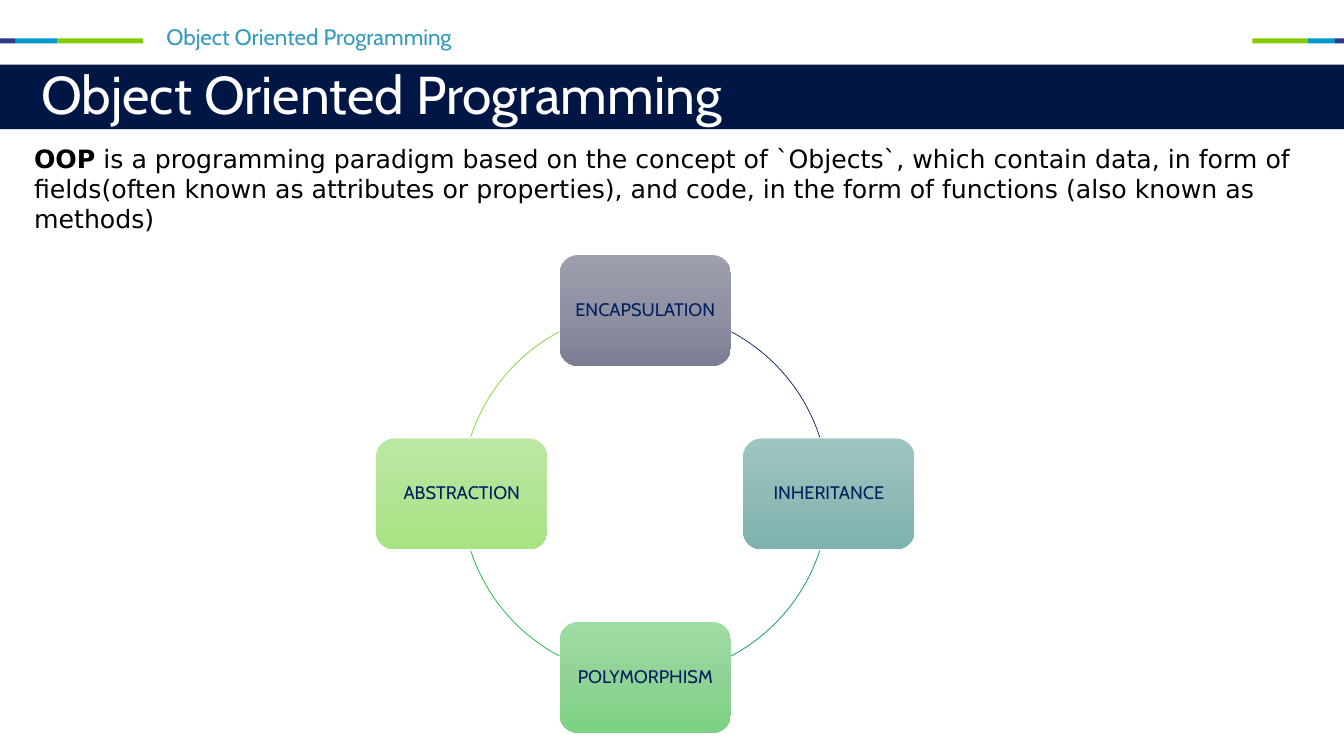
import math
from dataclasses import dataclass

from pptx import Presentation
from pptx.dml.color import RGBColor
from pptx.enum.shapes import MSO_SHAPE
from pptx.enum.text import MSO_ANCHOR, MSO_AUTO_SIZE, PP_ALIGN
from pptx.oxml import parse_xml
from pptx.oxml.ns import nsdecls
from pptx.util import Inches, Pt

RECT, ROUND_RECT, ARC = MSO_SHAPE.RECTANGLE, MSO_SHAPE.ROUNDED_RECTANGLE, MSO_SHAPE.ARC
MIDDLE, LEFT, CENTER = MSO_ANCHOR.MIDDLE, PP_ALIGN.LEFT, PP_ALIGN.CENTER
NO_AUTOFIT = MSO_AUTO_SIZE.NONE

GREEN = RGBColor(0x83, 0xCC, 0x04)
BLUE = RGBColor(0x00, 0x97, 0xCC)
INDIGO = RGBColor(0x30, 0x38, 0x88)
TEAL_TEXT = RGBColor(0x35, 0x9B, 0xBB)
BAND = RGBColor(0x00, 0x17, 0x46)
NAVY = RGBColor(0x00, 0x20, 0x60)
WHITE = RGBColor(0xFF, 0xFF, 0xFF)
BLACK = RGBColor(0x00, 0x00, 0x00)
ARC_TEAL = RGBColor(0x08, 0x8D, 0x86)
ARC_GREEN = RGBColor(0x17, 0xB4, 0x3A)
ARC_LIME = RGBColor(0x80, 0xD4, 0x2C)

HEADING = "Cabin"
BODY = "DejaVu Sans"
CENTER_X, CENTER_Y, RADIUS = 6.4, 4.9, 1.82
CARD_W, CARD_H = 1.7, 1.1


@dataclass
class Bar:
    left: float
    width: float
    color: RGBColor


@dataclass
class Pillar:
    label: str
    angle: int
    stops: tuple[RGBColor, RGBColor, RGBColor]
    arc_start: int
    arc_color: RGBColor


BARS = [
    Bar(12.42, 0.55, GREEN), Bar(12.97, 0.27, BLUE), Bar(13.24, 0.1, INDIGO),
    Bar(0.57, 0.85, GREEN), Bar(0.15, 0.42, BLUE), Bar(0, 0.15, INDIGO),
]
PILLARS = [
    Pillar("ENCAPSULATION", 270, (RGBColor(0x9D, 0x9F, 0xAF), RGBColor(0x90, 0x92, 0xA3),
                                  RGBColor(0x7C, 0x7E, 0x94)), 298, NAVY),
    Pillar("INHERITANCE", 0, (RGBColor(0x9D, 0xC5, 0xC1), RGBColor(0x90, 0xBA, 0xB6),
                              RGBColor(0x7C, 0xB3, 0xAE)), 18, ARC_TEAL),
    Pillar("POLYMORPHISM", 90, (RGBColor(0x9E, 0xDD, 0xA3), RGBColor(0x91, 0xD3, 0x96),
                                RGBColor(0x7C, 0xD1, 0x83)), 118, ARC_GREEN),
    Pillar("ABSTRACTION", 180, (RGBColor(0xBD, 0xE8, 0xA3), RGBColor(0xB2, 0xE4, 0x95),
                                RGBColor(0xA7, 0xE4, 0x81)), 198, ARC_LIME),
]
ARC_SWEEP = 44


def place(sp, left: float, top: float, width: float, height: float) -> None:
    sp.left, sp.top = Inches(left), Inches(top)
    sp.width, sp.height = Inches(width), Inches(height)


def format_run(r, font: str, size: float, color: RGBColor) -> None:
    r.font.name, r.font.size = font, Pt(size)
    r.font.color.rgb = color


def fill_heading(sp, text: str, size: float, color: RGBColor, spacing: float) -> None:
    tf = sp.text_frame
    tf.text = text
    tf.auto_size = NO_AUTOFIT
    tf.vertical_anchor = MIDDLE
    p = tf.paragraphs[0]
    p.alignment, p.line_spacing, p.space_before = LEFT, spacing, Pt(0)
    format_run(p.runs[0], HEADING, size, color)


def add_bar(s, bar: Bar) -> None:
    sp = s.shapes.add_shape(RECT, Inches(bar.left), Inches(0.38), Inches(bar.width), Inches(0.05))
    sp.shadow.inherit = False
    sp.fill.solid()
    sp.fill.fore_color.rgb = bar.color
    sp.line.fill.background()


def set_gradient(sp, stops: tuple[RGBColor, RGBColor, RGBColor]) -> None:
    gs = "".join(f'<a:gs pos="{i * 50000}"><a:srgbClr val="{c}"/></a:gs>'
                 for i, c in enumerate(stops))
    grad = parse_xml(f'<a:gradFill {nsdecls("a")} rotWithShape="1"><a:gsLst>{gs}</a:gsLst>'
                     '<a:lin ang="5400000" scaled="0"/></a:gradFill>')
    sp.element.spPr.prstGeom.addnext(grad)


def add_card(s, pillar: Pillar) -> None:
    angle = math.radians(pillar.angle)
    left = CENTER_X + RADIUS * math.cos(angle) - CARD_W / 2
    top = CENTER_Y + RADIUS * math.sin(angle) - CARD_H / 2
    sp = s.shapes.add_shape(ROUND_RECT, Inches(left), Inches(top), Inches(CARD_W), Inches(CARD_H))
    sp.shadow.inherit = False
    set_gradient(sp, pillar.stops)
    sp.line.fill.background()
    tf = sp.text_frame
    tf.text = pillar.label
    tf.word_wrap = True
    tf.vertical_anchor = MIDDLE
    tf.margin_left = tf.margin_right = tf.margin_top = tf.margin_bottom = Inches(0.05)
    p = tf.paragraphs[0]
    p.alignment, p.line_spacing = CENTER, 0.9
    format_run(p.runs[0], HEADING, 13, NAVY)


def add_arc(s, pillar: Pillar) -> None:
    sp = s.shapes.add_shape(ARC, Inches(CENTER_X - RADIUS), Inches(CENTER_Y - RADIUS),
                            Inches(2 * RADIUS), Inches(2 * RADIUS))
    sp.shadow.inherit = False
    sp.adjustments[0] = pillar.arc_start * 0.6
    sp.adjustments[1] = (pillar.arc_start + ARC_SWEEP) * 0.6
    sp.fill.background()
    sp.line.color.rgb = pillar.arc_color
    sp.line.width = Pt(0.5)


def add_definition(s) -> None:
    tf = s.shapes.add_textbox(Inches(0.24), Inches(1.37), Inches(13.1), Inches(1.01)).text_frame
    tf.word_wrap = True
    p = tf.paragraphs[0]
    term, meaning = p.add_run(), p.add_run()
    term.text = "OOP"
    meaning.text = (" is a programming paradigm based on the concept of `Objects`, which contain data, "
                    "in form of fields(often known as attributes or properties), and code, in the form "
                    "of functions (also known as methods)")
    for r in (term, meaning):
        format_run(r, BODY, 18, BLACK)
    term.font.bold = True


def main() -> None:
    prs = Presentation()
    prs.slide_width, prs.slide_height = Inches(13.33), Inches(7.5)
    s = prs.slides.add_slide(prs.slide_layouts[1])

    for bar in BARS:
        add_bar(s, bar)

    body = s.placeholders[1]
    place(body, 1.55, 0.23, 8.08, 0.32)
    fill_heading(body, "Object Oriented Programming", 16, TEAL_TEXT, 0.8)
    pPr = body.text_frame.paragraphs[0]._p.get_or_add_pPr()
    pPr.set("marL", "0")
    pPr.set("indent", "0")
    pPr.append(parse_xml(f'<a:buNone {nsdecls("a")}/>'))

    title = s.shapes.title
    place(title, 0, 0.64, 13.33, 0.64)
    title.fill.solid()
    title.fill.fore_color.rgb = BAND
    fill_heading(title, "Object Oriented Programming", 38, WHITE, 0.9)
    title.text_frame.margin_left = Inches(0.41)

    add_definition(s)
    for pillar in PILLARS:
        add_card(s, pillar)
        add_arc(s, pillar)

    prs.save("out.pptx")


if __name__ == "__main__":
    main()
